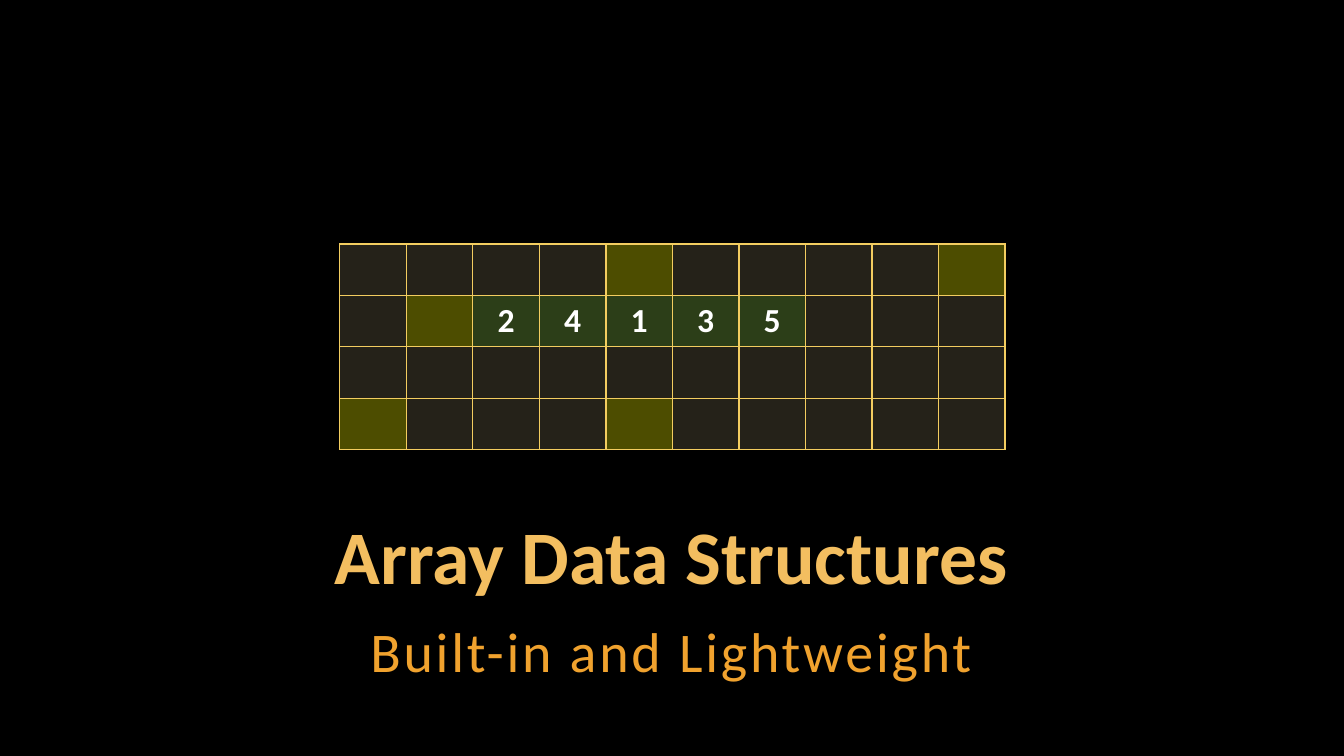
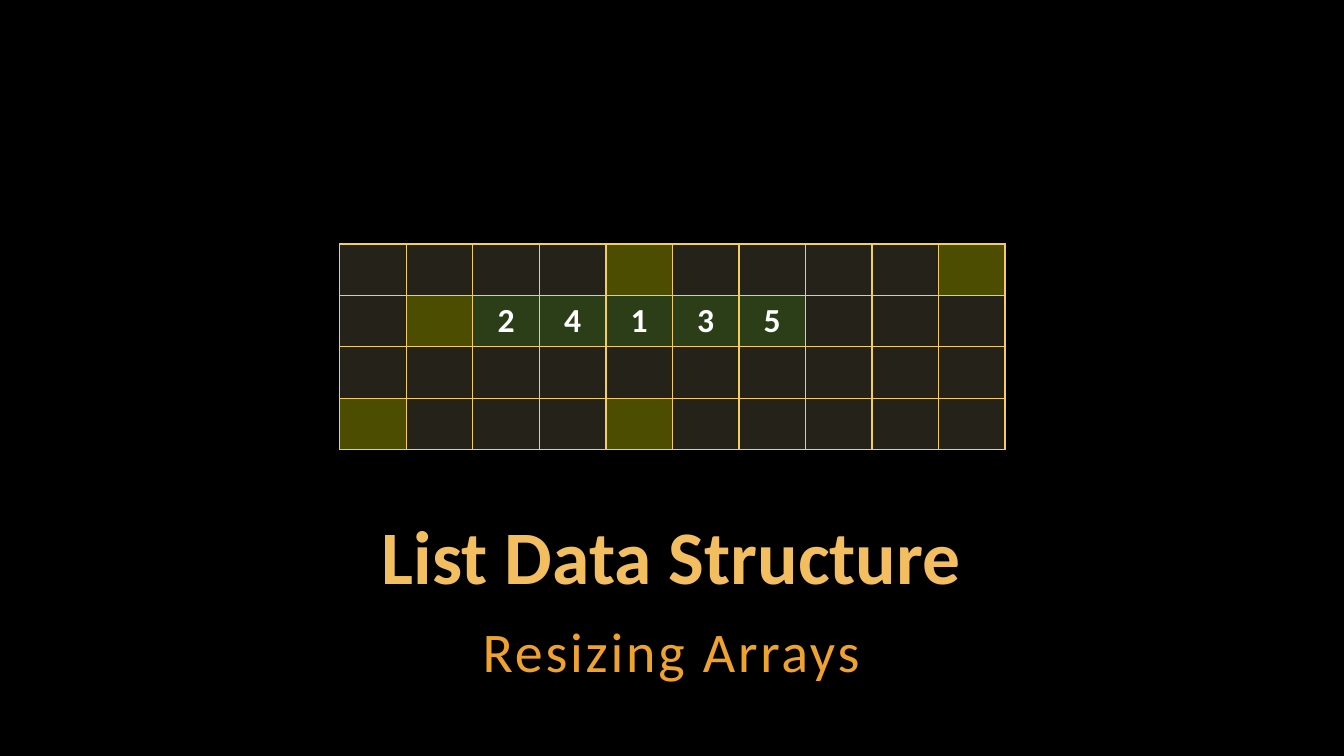
from pptx import Presentation
from pptx.dml.color import RGBColor
from pptx.enum.text import MSO_ANCHOR, MSO_AUTO_SIZE, PP_ALIGN
from pptx.oxml.ns import qn
from pptx.util import Inches, Pt
from lxml.etree import SubElement

SLIDES = [
    ("Array Data Structures", "Built-in and Lightweight"),
    ("List Data Structure", "Resizing Arrays"),
]
MEMORY_ROWS = [
    "....x....x",
    ".x24135...",
    "..........",
    "x...x.....",
]

FONT = "Calibri"
BLACK = RGBColor(0x00, 0x00, 0x00)
WHITE = RGBColor(0xFF, 0xFF, 0xFF)
TITLE_GOLD = RGBColor(0xF3, 0xBE, 0x60)
SUBTITLE_ORANGE = RGBColor(0xF0, 0xA2, 0x2E)
BORDER_GOLD = RGBColor(0xF3, 0xCD, 0x60)
FREE_CELL = RGBColor(0x7C, 0x71, 0x54)
USED_CELL = RGBColor(0xFF, 0xFF, 0x00)
ARRAY_CELL = RGBColor(0x92, 0xD0, 0x50)
CELL_FILLS = {".": FREE_CELL, "x": USED_CELL}
CELL_ALPHA = "30000"

TEXT_LEFT, TEXT_WIDTH = Inches(2.16), Inches(9)
TABLE_LEFT, TABLE_TOP = Inches(3.37), Inches(2.42)
CELL_WIDTH, CELL_HEIGHT = Inches(0.66), Inches(0.51)


def add_run(paragraph, text, size, color, bold=False):
    paragraph.alignment = PP_ALIGN.CENTER
    run = paragraph.add_run()
    run.text = text
    run.font.name = FONT
    run.font.size = Pt(size)
    run.font.bold = bold
    run.font.color.rgb = color
    return run


def add_text_box(slide, top, height, anchor):
    text_box = slide.shapes.add_textbox(TEXT_LEFT, top, TEXT_WIDTH, height)
    frame = text_box.text_frame
    frame.word_wrap = True
    frame.auto_size = MSO_AUTO_SIZE.SHAPE_TO_FIT_TEXT
    frame.vertical_anchor = anchor
    frame.margin_left = frame.margin_right = Inches(0.04)
    frame.margin_top = frame.margin_bottom = Inches(0.04)
    return frame.paragraphs[0]


def add_title(slide, text):
    paragraph = add_text_box(slide, Inches(5.1), Inches(0.9), MSO_ANCHOR.BOTTOM)
    paragraph.line_spacing = 0.9
    add_run(paragraph, text, 54, TITLE_GOLD, bold=True)


def add_subtitle(slide, text):
    paragraph = add_text_box(slide, Inches(6.04), Inches(0.79), MSO_ANCHOR.TOP)
    paragraph.line_spacing = 1.05
    paragraph.space_after = Pt(6)
    run = add_run(paragraph, text, 40, SUBTITLE_ORANGE)
    run.font._element.set("spc", "200")


def style_cell(cell, color):
    cell.fill.solid()
    cell.fill.fore_color.rgb = color
    properties = cell._tc.get_or_add_tcPr()
    fill_color = properties.find(qn("a:solidFill")).find(qn("a:srgbClr"))
    SubElement(fill_color, qn("a:alpha"), val=CELL_ALPHA)
    for index, side in enumerate(("a:lnL", "a:lnR", "a:lnT", "a:lnB")):
        line = SubElement(properties, qn(side), w=str(Pt(1)))
        line_fill = SubElement(line, qn("a:solidFill"))
        SubElement(line_fill, qn("a:srgbClr"), val=str(BORDER_GOLD))
        properties.insert(index, line)


def add_memory_table(slide):
    row_count, column_count = len(MEMORY_ROWS), len(MEMORY_ROWS[0])
    table = slide.shapes.add_table(
        row_count, column_count, TABLE_LEFT, TABLE_TOP,
        CELL_WIDTH * column_count, CELL_HEIGHT * row_count,
    ).table
    table.first_row = False
    table.horz_banding = False
    for column in table.columns:
        column.width = CELL_WIDTH
    for row, symbols in zip(table.rows, MEMORY_ROWS):
        row.height = CELL_HEIGHT
        for cell, symbol in zip(row.cells, symbols):
            style_cell(cell, CELL_FILLS.get(symbol, ARRAY_CELL))
            if symbol not in CELL_FILLS:
                add_run(cell.text_frame.paragraphs[0], symbol, 24, WHITE, bold=True)


def main():
    presentation = Presentation()
    presentation.slide_width = Inches(13.33)
    presentation.slide_height = Inches(7.5)
    background = presentation.slide_master.background.fill
    background.solid()
    background.fore_color.rgb = BLACK
    for title, subtitle in SLIDES:
        slide = presentation.slides.add_slide(presentation.slide_layouts[6])
        add_title(slide, title)
        add_subtitle(slide, subtitle)
        add_memory_table(slide)
    presentation.save("out.pptx")


if __name__ == "__main__":
    main()
